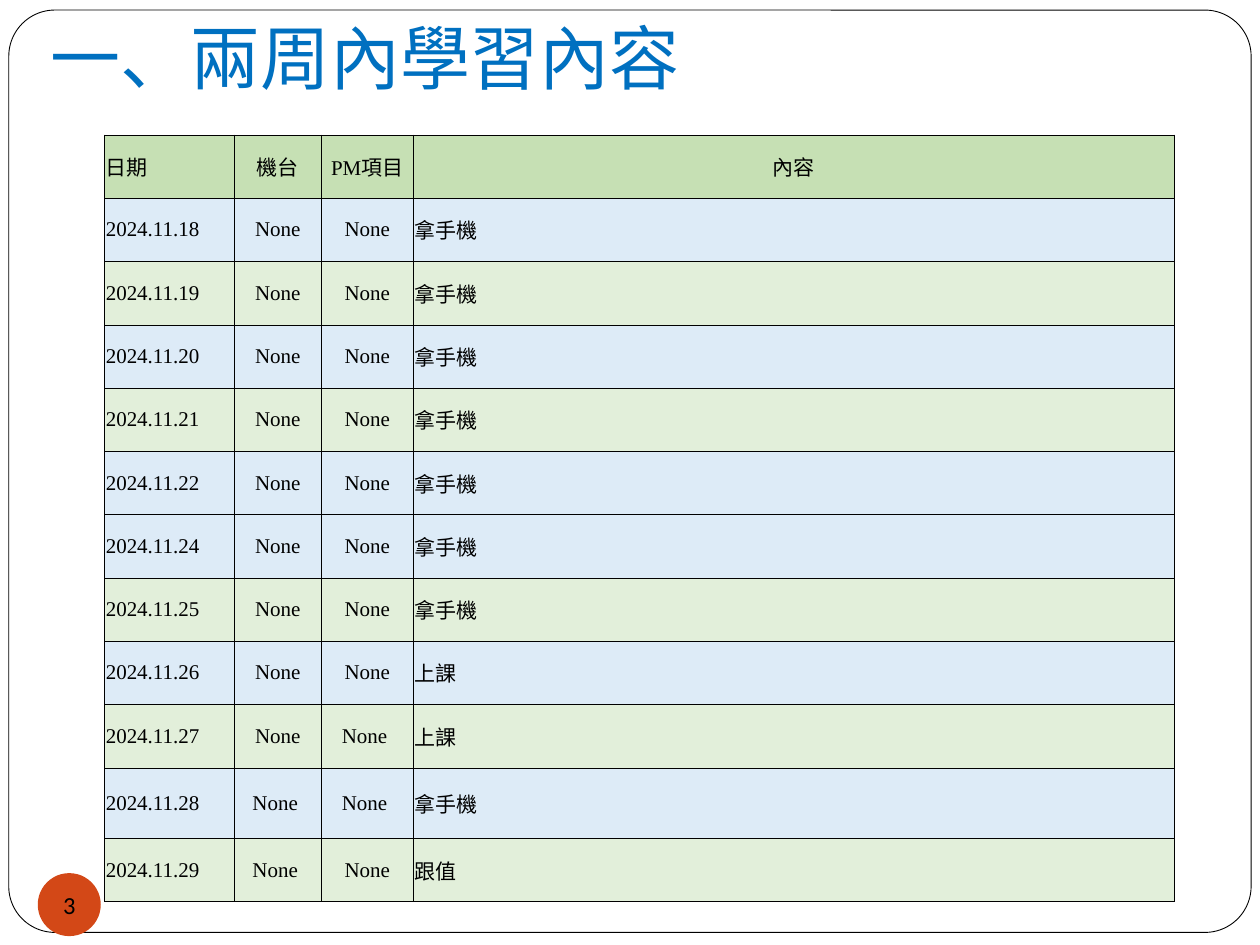
from lxml import etree
from pptx import Presentation
from pptx.dml.color import RGBColor
from pptx.enum.shapes import MSO_SHAPE
from pptx.enum.text import MSO_ANCHOR, MSO_AUTO_SIZE, PP_ALIGN
from pptx.oxml.ns import qn
from pptx.util import Inches, Pt

LEFT, CENTER = PP_ALIGN.LEFT, PP_ALIGN.CENTER
MIDDLE, BOTTOM = MSO_ANCHOR.MIDDLE, MSO_ANCHOR.BOTTOM
NO_AUTOFIT = MSO_AUTO_SIZE.NONE
ROUNDED, OVAL = MSO_SHAPE.ROUNDED_RECTANGLE, MSO_SHAPE.OVAL

ASIAN_FONT = "Noto Sans CJK SC"
HEADER_FILL = "C6E0B4"
BAND_FILLS = ("DDEBF7", "E2EFDA")
COLUMN_WIDTHS = (1.03, 0.69, 0.73, 6.04)
TABLE_HEIGHT = 6.09
TALL_ROW, TALL_HEIGHT = 10, 0.56

HEADERS = ("日期", "機台", "PM項目", "內容")
# Banding starts again with each week
WEEKS = (
    (
        ("2024.11.18", "None", "None", "拿手機"),
        ("2024.11.19", "None", "None", "拿手機"),
        ("2024.11.20", "None", "None", "拿手機"),
        ("2024.11.21", "None", "None", "拿手機"),
        ("2024.11.22", "None", "None", "拿手機"),
    ),
    (
        ("2024.11.24", "None", "None", "拿手機"),
        ("2024.11.25", "None", "None", "拿手機"),
        ("2024.11.26", "None", "None", "上課"),
        ("2024.11.27", "None", "None ", "上課"),
        ("2024.11.28", "None ", "None ", "拿手機"),
        ("2024.11.29", "None ", "None", "跟值"),
    ),
)


def color(hex_value):
    return RGBColor.from_string(hex_value)


def set_fill(target, hex_value):
    target.fill.solid()
    target.fill.fore_color.rgb = color(hex_value)


def set_margins(target, left, top, right, bottom):
    target.margin_left, target.margin_right = Inches(left), Inches(right)
    target.margin_top, target.margin_bottom = Inches(top), Inches(bottom)


def write_text(text_frame, text, size, font_name, hex_value, alignment=LEFT):
    text_frame.text = text
    paragraph = text_frame.paragraphs[0]
    paragraph.alignment = alignment
    font = paragraph.font
    font.size, font.name, font.bold = Pt(size), font_name, False
    font.color.rgb = color(hex_value)
    # East Asian typeface
    properties = paragraph._p.pPr.find(qn("a:defRPr"))
    etree.SubElement(properties, qn("a:ea"), typeface=ASIAN_FONT)


def add_filled_shape(slide, kind, left, top, width, height, fill):
    shape = slide.shapes.add_shape(
        kind, Inches(left), Inches(top), Inches(width), Inches(height))
    shape.shadow.inherit = False
    set_fill(shape, fill)
    return shape


def add_frame(slide):
    frame = add_filled_shape(slide, ROUNDED, 0.07, 0.08, 9.86, 7.32, "FFFFFF")
    frame.adjustments[0] = 0.05
    frame.line.color.rgb = color("000000")
    frame.line.width = Pt(0.5)
    # Keep the frame behind the title
    slide.shapes.title.element.addprevious(frame.element)


def fill_title(slide, text):
    title = slide.shapes.title
    title.left, title.top = Inches(0.3), Inches(0.08)
    title.width, title.height = Inches(8.5), Inches(0.8)
    text_frame = title.text_frame
    text_frame.auto_size = NO_AUTOFIT
    text_frame.vertical_anchor = BOTTOM
    set_margins(text_frame, 0.1, 0.05, 0.1, 0.1)
    write_text(text_frame, text, 40, ASIAN_FONT, "0070C0")


def add_borders(cell):
    properties = cell._tc.get_or_add_tcPr()
    for index, side in enumerate(("a:lnL", "a:lnR", "a:lnT", "a:lnB")):
        line = etree.Element(qn(side), w=str(Pt(0.23)))
        solid = etree.SubElement(line, qn("a:solidFill"))
        etree.SubElement(solid, qn("a:srgbClr"), val="000000")
        properties.insert(index, line)


def fill_cell(cell, text, fill, alignment):
    set_fill(cell, fill)
    add_borders(cell)
    cell.vertical_anchor = MIDDLE
    set_margins(cell, 0.01, 0.05, 0.01, 0.05)
    write_text(cell.text_frame, text, 12, "Times New Roman", "000000", alignment)


def add_schedule(slide):
    rows = [(HEADERS, HEADER_FILL)]
    for week in WEEKS:
        rows += [(day, BAND_FILLS[i % 2]) for i, day in enumerate(week)]
    table = slide.shapes.add_table(
        len(rows), len(HEADERS), Inches(0.83), Inches(1.07),
        Inches(sum(COLUMN_WIDTHS)), Inches(TABLE_HEIGHT)).table
    for column, width in zip(table.columns, COLUMN_WIDTHS):
        column.width = Inches(width)
    row_height = (TABLE_HEIGHT - TALL_HEIGHT) / (len(rows) - 1)
    for r, (texts, fill) in enumerate(rows):
        table.rows[r].height = Inches(TALL_HEIGHT if r == TALL_ROW else row_height)
        for c, text in enumerate(texts):
            centered = c in (1, 2) or (r == 0 and c == 3)
            fill_cell(table.cell(r, c), text, fill, CENTER if centered else LEFT)


def add_page_number(slide, number):
    badge = add_filled_shape(slide, OVAL, 0.3, 6.93, 0.5, 0.5, "D34817")
    badge.line.fill.background()
    text_frame = badge.text_frame
    text_frame.word_wrap = False
    text_frame.vertical_anchor = MIDDLE
    set_margins(text_frame, 0, 0, 0, 0)
    write_text(text_frame, number, 14, "Calibri", "000000", CENTER)


def main():
    presentation = Presentation()
    presentation.slide_width, presentation.slide_height = Inches(10), Inches(7.5)
    slide = presentation.slides.add_slide(presentation.slide_layouts[5])
    add_frame(slide)
    fill_title(slide, "一、兩周內學習內容")
    add_schedule(slide)
    add_page_number(slide, "3")
    presentation.save("out.pptx")


if __name__ == "__main__":
    main()
